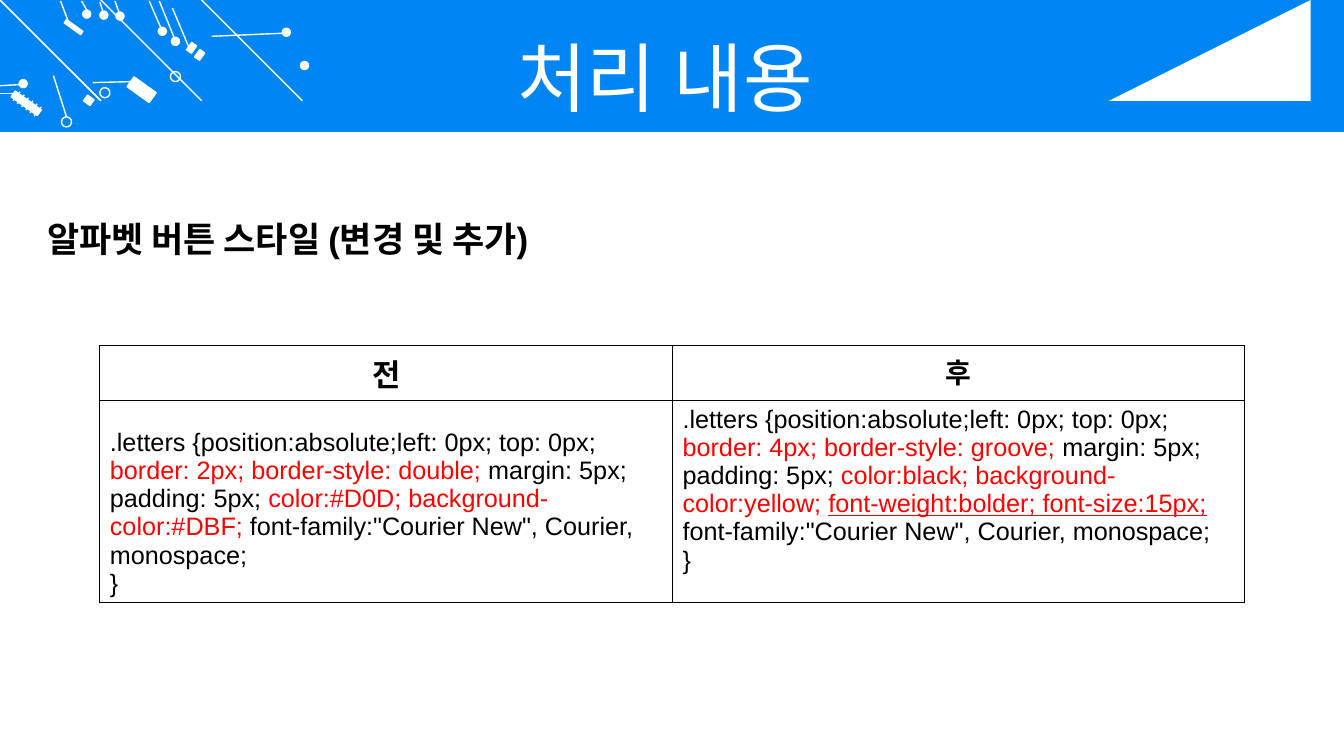
from lxml import etree
from pptx import Presentation
from pptx.dml.color import RGBColor
from pptx.enum.shapes import MSO_CONNECTOR, MSO_SHAPE
from pptx.enum.text import MSO_ANCHOR, PP_ALIGN
from pptx.oxml import parse_xml
from pptx.oxml.ns import qn
from pptx.util import Inches, Pt

RECT, OVAL = MSO_SHAPE.RECTANGLE, MSO_SHAPE.OVAL
LINE = MSO_CONNECTOR.STRAIGHT
MID, TOP, BOTTOM = MSO_ANCHOR.MIDDLE, MSO_ANCHOR.TOP, MSO_ANCHOR.BOTTOM
CENTER, LEFT = PP_ALIGN.CENTER, PP_ALIGN.LEFT
WHITE, BLACK, BLUE, RED = "FFFFFF", "000000", "0085F2", "FF0000"
TURN = 35.7
NS = "http://schemas.openxmlformats.org/drawingml/2006/main"


def paint(fmt, color):
    fmt.solid()
    color = RGBColor.from_string(color)
    fmt.fore_color.rgb = color


def style(item, fill, line):
    item.shadow.inherit = False
    if fill:
        paint(item.fill, fill)
    else:
        item.fill.background()
    if line:
        paint(item.line.fill, line)
        item.line.width = Pt(1)
    else:
        item.line.fill.background()


deck = Presentation()
deck.slide_width, deck.slide_height = Inches(13.33), Inches(7.5)
slide = deck.slides.add_slide(deck.slide_layouts[6])
shapes = slide.shapes

band = shapes.add_shape(RECT, 0, 0, Inches(13.33), Inches(1.31))
style(band, BLUE, None)

tooth = [(11.73, 1.06), (11.73, 1.12), (11.77, 1.11), (11.77, 1.37),
         (11.81, 1.35), (11.81, 1.1), (11.85, 1.08), (11.86, 1.01)]
edge = [(min(13.33, x + 0.214 * i), y - 0.081 * i)
        for i in range(8) for x, y in tooth]
body = edge + [(13.33, 0.05), (13.21, 0), (12.81, 0), (11, 0.68), (11, 0.85),
               (11.17, 0.91), (11.17, 1.12), (11.21, 1.1), (11.21, 0.93),
               (11.38, 0.99), (11.38, 1.04), (11.42, 1.02), (11.42, 1.01),
               (11.64, 1.09)]
hole = [(12.61, 0.23), (11.84, 0.52), (12.08, 0.62), (12.85, 0.32)]
pen = shapes.build_freeform(*hole[0], scale=Inches(1))
pen.add_line_segments(hole[1:], close=True)
pen.move_to(*body[0])
pen.add_line_segments(body[1:], close=True)
style(pen.convert_to_shape(), WHITE, None)

bars = [(1.27, 0.83, 0.27, 0.12), (0.63, 0.25, 0.2, 0.04),
        (0.84, 0.96, 0.08, 0.07), (1.87, 0.43, 0.06, 0.09),
        (1.95, 0.5, 0.06, 0.09), (0.1, 0.99, 0.32, 0.07)]
dots = [(2.98, 0.61), (2.8, 0.28), (0.82, 0.1), (0.99, 0.11), (1.15, 0.12),
        (0.19, 0.79), (1.7, 0.37), (1.57, 0.27)]
rings = [(1.69, 0.71), (0.99, 0.87), (0.61, 1.16)]
parts = [(RECT, box, WHITE) for box in bars]
parts += [(OVAL, (x, y, 0.08, 0.08), WHITE) for x, y in dots]
parts += [(OVAL, (x, y, 0.1, 0.1), None) for x, y in rings]
for kind, box, fill in parts:
    part = shapes.add_shape(kind, *[Inches(n) for n in box])
    part.rotation = TURN
    style(part, fill, WHITE)

wires = [(0.6, 0.01, 0.68, 0.22), (0.81, 0.01, 0.86, 0.1),
         (0.99, 0.02, 1.02, 0.11), (1.14, 0.01, 1.18, 0.12),
         (1.48, 0.01, 1.61, 0.31), (1.58, 0.01, 1.73, 0.38),
         (2.1, 0.36, 2.8, 0.33), (1.71, 0.08, 1.87, 0.46),
         (0, 0.85, 0.19, 0.84), (0, 0.93, 0.14, 0.93),
         (0.53, 0.75, 0.66, 1.16), (0.92, 0.82, 1.3, 0.81)]
wires += [(0.13 + 0.042 * i, 1 + 0.03 * i, 0.2 + 0.042 * i, 0.91 + 0.03 * i)
          for i in range(6)]
for ends in wires:
    wire = shapes.add_connector(LINE, *[Inches(n) for n in ends])
    paint(wire.line.fill, WHITE)
    wire.line.width = Pt(1)
    etree.SubElement(wire._element.spPr, qn("a:effectLst"))

bends = [[(1.63, 0), (2.53, 0.67), (2.99, 0.65)],
         [(0.16, 0), (0.27, 0.35), (1, 0.88)],
         [(0, 0.02), (0.05, 0.06), (0.17, 0.48), (0.86, 0.99)],
         [(0.64, 0.62), (1.1, 0.61), (1.32, 0.78)],
         [(1.03, 0.18), (1.05, 0.27), (1.7, 0.74)]]
for bend in bends:
    pen = shapes.build_freeform(*bend[0], scale=Inches(1))
    pen.add_line_segments(bend[1:], close=False)
    style(pen.convert_to_shape(), None, WHITE)

title = shapes.add_textbox(Inches(0.35), Inches(0.42), Inches(12.66), Inches(0.79))
head = shapes.add_shape(RECT, Inches(0.37), Inches(1.89), Inches(5.52), Inches(0.96))
style(head, WHITE, WHITE)
labels = [(title, "처리 내용 ", 54, WHITE, False, CENTER),
          (head, "알파벳 버튼 스타일 (변경 및 추가)", 25, BLACK, True, LEFT)]
for box, text, size, color, bold, align in labels:
    frame = box.text_frame
    frame.word_wrap = True
    frame.vertical_anchor = MID
    frame.text = text
    para = frame.paragraphs[0]
    para.alignment = align
    font = para.runs[0].font
    font.name, font.size, font.bold = "Arial", Pt(size), bold
    paint(font.fill, color)
title.text_frame.paragraphs[0].line_spacing = 0.9

start = ".letters {position:absolute;left: 0px; top: 0px; "
space = " margin: 5px; padding: 5px; "
family = 'font-family:"Courier New", Courier, monospace;'
before = [[(start, BLACK), ("border: 2px; border-style: double;", RED),
           (space, BLACK), ("color:#D0D; background-color:#DBF;", RED),
           (" " + family, BLACK)], [("}", BLACK)]]
after = [[(start, BLACK), ("border: 4px; border-style: groove;", RED),
          (space, BLACK), ("color:black; background-color:yellow; ", RED),
          ("font-weight:bolder; font-size:15px;", RED), (" ", BLACK),
          (family, BLACK)], [("}", BLACK)]]
cells = [(0, 0, [[("전", BLACK)]], 22, CENTER, TOP),
         (0, 1, [[("후", BLACK)]], 20, CENTER, TOP),
         (1, 0, before, 18, LEFT, BOTTOM),
         (1, 1, after, 18, LEFT, TOP)]
table = shapes.add_table(2, 2, Inches(0.99), Inches(3.43),
                         Inches(11.35), Inches(2.55)).table
table.columns[0].width, table.columns[1].width = Inches(5.68), Inches(5.67)
table.rows[0].height, table.rows[1].height = Inches(0.54), Inches(2.01)
for row, col, paras, size, align, anchor in cells:
    cell = table.cell(row, col)
    for i, side in enumerate(("lnL", "lnR", "lnT", "lnB")):
        cell._tc.get_or_add_tcPr().insert(i, parse_xml(
            f'<a:{side} xmlns:a="{NS}" w="12700"><a:solidFill>'
            f'<a:srgbClr val="{BLACK}"/></a:solidFill></a:{side}>'))
    paint(cell.fill, WHITE)
    cell.vertical_anchor = anchor
    frame = cell.text_frame
    for i, runs in enumerate(paras):
        para = frame.add_paragraph() if i else frame.paragraphs[0]
        para.alignment = align
        for text, color in runs:
            run = para.add_run()
            run.text = text
            font = run.font
            font.name, font.size, font.bold = "Arial", Pt(size), row == 0
            font.underline = text.startswith("font-weight")
            paint(font.fill, color)

deck.save("out.pptx")
